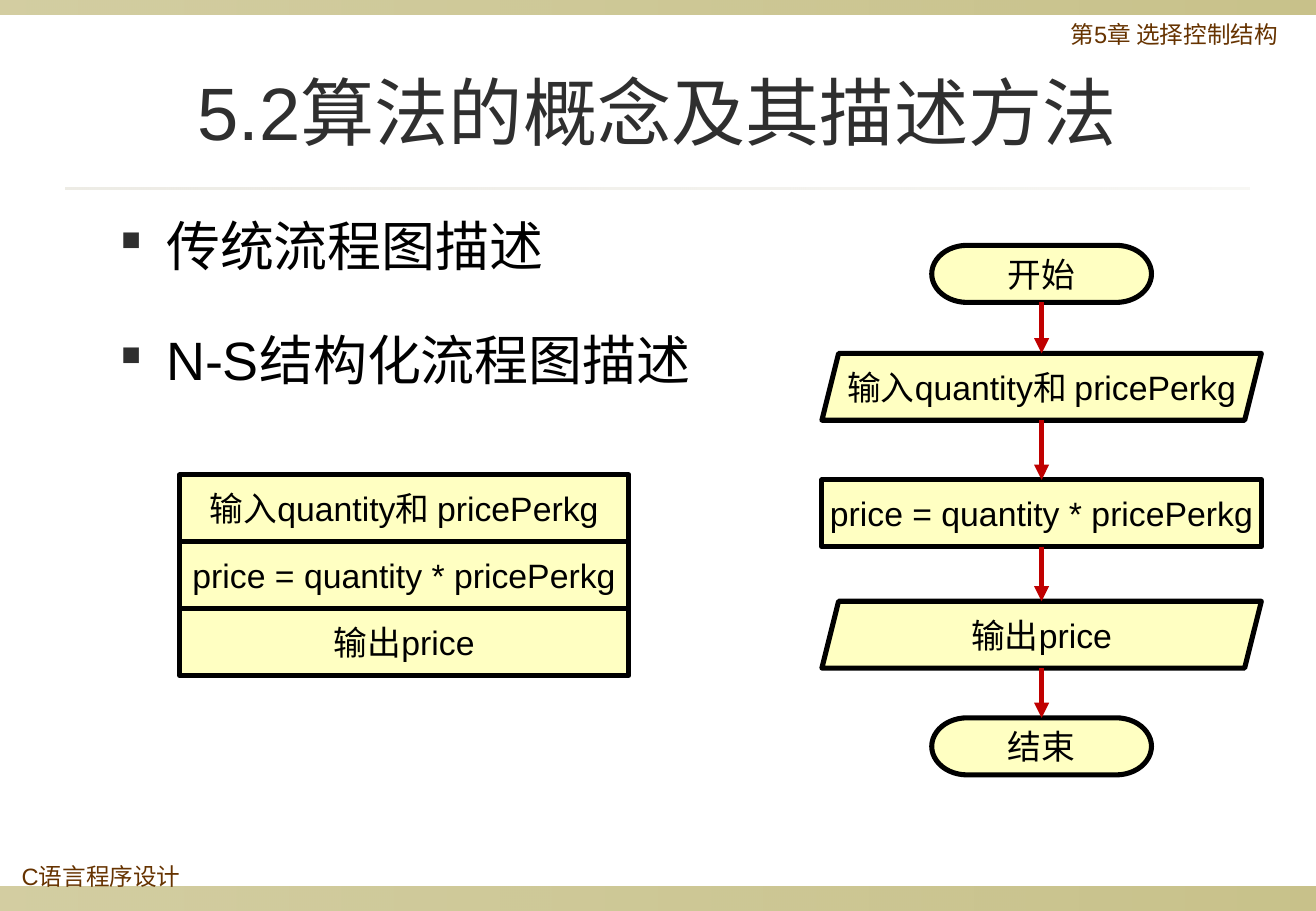
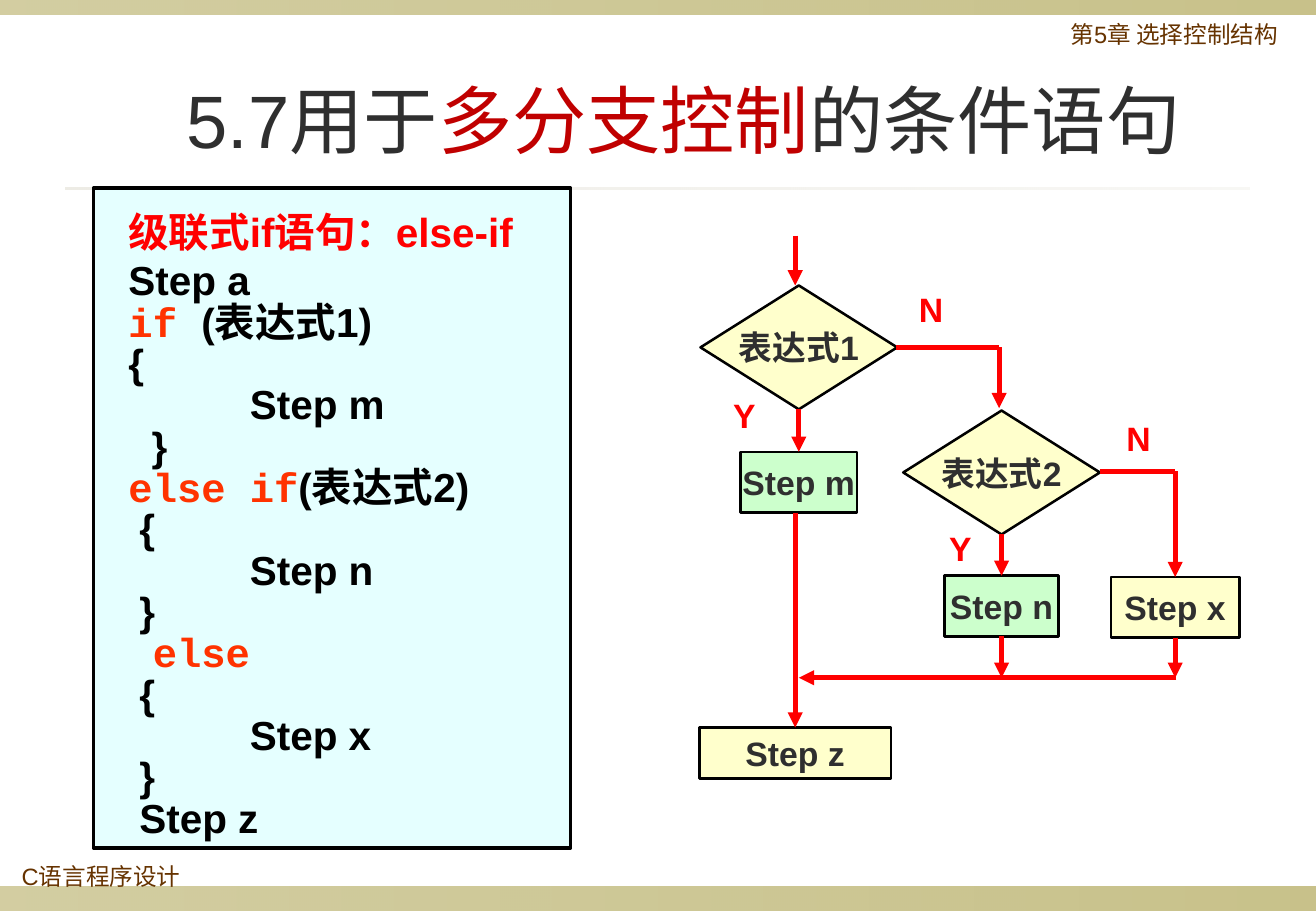
from dataclasses import dataclass

from lxml import etree
from pptx import Presentation
from pptx.dml.color import RGBColor
from pptx.enum.shapes import MSO_CONNECTOR, MSO_SHAPE
from pptx.enum.text import MSO_ANCHOR, MSO_AUTO_SIZE, PP_ALIGN
from pptx.oxml.ns import qn
from pptx.shapes.autoshape import Shape
from pptx.slide import Slide
from pptx.text.text import TextFrame
from pptx.util import Inches, Pt

RECT = MSO_SHAPE.RECTANGLE
DIAMOND = MSO_SHAPE.DIAMOND
PROCESS = MSO_SHAPE.FLOWCHART_PROCESS
TERMINATOR = MSO_SHAPE.FLOWCHART_TERMINATOR
PARALLELOGRAM = MSO_SHAPE.PARALLELOGRAM
STRAIGHT = MSO_CONNECTOR.STRAIGHT
CENTER, LEFT = PP_ALIGN.CENTER, PP_ALIGN.LEFT
MIDDLE, TOP = MSO_ANCHOR.MIDDLE, MSO_ANCHOR.TOP
NO_AUTOFIT = MSO_AUTO_SIZE.NONE
TOP_SIDE, BOTTOM_SIDE = 0, 2

BLACK = RGBColor(0x00, 0x00, 0x00)
CHARCOAL = RGBColor(0x2F, 0x2F, 0x2F)
BROWN = RGBColor(0x66, 0x33, 0x00)
OLIVE = RGBColor(0x91, 0x84, 0x15)
SAND = RGBColor(0xDC, 0xD9, 0xCC)
CREAM = RGBColor(0xFF, 0xFF, 0xC2)
PALE_YELLOW = RGBColor(0xFF, 0xFF, 0xCC)
PALE_GREEN = RGBColor(0xCC, 0xFF, 0xCC)
PALE_CYAN = RGBColor(0xE5, 0xFF, 0xFF)
DARK_RED = RGBColor(0xC0, 0x00, 0x00)
RED = RGBColor(0xFF, 0x00, 0x00)
ORANGE = RGBColor(0xFF, 0x33, 0x00)

ARIAL, COURIER = "Arial", "Courier New"
TIMES, CJK = "Times New Roman", "Noto Sans CJK SC"


@dataclass(frozen=True)
class Box:
    left: float
    top: float
    width: float
    height: float

    def lengths(self) -> tuple[Inches, Inches, Inches, Inches]:
        return (Inches(self.left), Inches(self.top),
                Inches(self.width), Inches(self.height))


@dataclass(frozen=True)
class Words:
    text: str
    font: str = ARIAL
    color: RGBColor = BLACK


@dataclass(frozen=True)
class Line:
    words: list[Words]
    size: float
    bold: bool = False
    align: PP_ALIGN = LEFT
    spacing: float | None = None  # exact line height in points
    before: float = 0
    indent: float = 0


@dataclass(frozen=True)
class Node:
    kind: MSO_SHAPE
    box: Box
    fill: RGBColor
    words: list[Words]


@dataclass(frozen=True)
class Arrow:
    start: tuple[float, float]
    end: tuple[float, float]
    source: Shape | None = None
    target: Shape | None = None
    head: bool = True


def write_lines(frame: TextFrame, lines: list[Line]) -> None:
    for index, line in enumerate(lines):
        paragraph = frame.add_paragraph() if index else frame.paragraphs[0]
        paragraph.alignment = line.align
        paragraph.space_before = Pt(line.before)
        if line.spacing:
            paragraph.line_spacing = Pt(line.spacing)
        if line.indent:
            paragraph._p.get_or_add_pPr().set("marL", str(Inches(line.indent)))
        for words in line.words:
            run = paragraph.add_run()
            run.text = words.text
            run.font.name = words.font
            run.font.size = Pt(line.size)
            run.font.bold = line.bold
            run.font.color.rgb = words.color
            east_asian = etree.Element(qn("a:ea"), typeface=CJK)
            run.font._element.find(qn("a:latin")).addnext(east_asian)


def add_text(slide: Slide, box: Box, line: Line, wrap: bool = True) -> TextFrame:
    frame = slide.shapes.add_textbox(*box.lengths()).text_frame
    frame.word_wrap = wrap
    write_lines(frame, [line])
    return frame


def add_gradient_band(slide: Slide, box: Box, color: RGBColor,
                      opacities: tuple[int, int]) -> None:
    """Draw a horizontal band whose opacity runs between two percentages."""
    band = slide.shapes.add_shape(RECT, *box.lengths())
    band.shadow.inherit = False
    band.line.fill.background()
    band.fill.gradient()
    band.fill.gradient_angle = 0
    for stop in band.fill.gradient_stops:
        stop.color.rgb = color
    for tint, opacity in zip(band.element.spPr.iter(qn("a:srgbClr")), opacities):
        etree.SubElement(tint, qn("a:alpha"), val=str(opacity * 1000))


def add_panel(slide: Slide, kind: MSO_SHAPE, box: Box, fill: RGBColor,
              border: float) -> Shape:
    panel = slide.shapes.add_shape(kind, *box.lengths())
    panel.shadow.inherit = False
    panel.fill.solid()
    panel.fill.fore_color.rgb = fill
    panel.line.color.rgb = BLACK
    panel.line.width = Pt(border)
    return panel


def add_node(slide: Slide, node: Node, border: float, bold: bool) -> Shape:
    shape = add_panel(slide, node.kind, node.box, node.fill, border)
    frame = shape.text_frame
    frame.word_wrap = False
    frame.vertical_anchor = MIDDLE
    write_lines(frame, [Line(node.words, 20, bold, CENTER)])
    return shape


def add_arrow(slide: Slide, arrow: Arrow, color: RGBColor) -> None:
    """Draw an arrow, joined to the bottom of its source and top of its target."""
    points = [Inches(value) for value in (*arrow.start, *arrow.end)]
    connector = slide.shapes.add_connector(STRAIGHT, *points)
    if arrow.source is not None:
        connector.begin_connect(arrow.source, BOTTOM_SIDE)
    if arrow.target is not None:
        connector.end_connect(arrow.target, TOP_SIDE)
    connector.line.color.rgb = color
    connector.line.width = Pt(3)
    properties = connector.element.spPr
    if arrow.head:
        etree.SubElement(properties.find(qn("a:ln")), qn("a:tailEnd"), type="triangle")
    etree.SubElement(properties, qn("a:effectLst"))


def add_bullet(slide: Slide, box: Box, words: list[Words]) -> None:
    frame = add_text(slide, box, Line(words, 32, spacing=49, indent=0.46))
    properties = frame.paragraphs[0]._p.get_or_add_pPr()
    properties.set("indent", str(Inches(-0.37)))
    color = etree.SubElement(properties, qn("a:buClr"))
    etree.SubElement(color, qn("a:srgbClr"), val=str(CHARCOAL))
    etree.SubElement(properties, qn("a:buSzPct"), val="50000")
    etree.SubElement(properties, qn("a:buChar"), char="■")


def add_chapter_slide(prs: Presentation, title_box: Box, title: list[Words]) -> Slide:
    """Add a slide with the shared bands, running texts and title style."""
    slide = prs.slides.add_slide(prs.slide_layouts[5])
    for box in (Box(0, 7.3, 10.84, 0.2), Box(0, 0, 10.84, 0.12)):
        add_gradient_band(slide, box, OLIVE, (40, 50))
    add_gradient_band(slide, Box(0.54, 1.54, 9.75, 0.02), SAND, (50, 20))
    for text, box in (("第5章 选择控制结构", Box(8.72, 0.13, 2.05, 0.39)),
                      ("C语言程序设计", Box(0.08, 7.06, 2.35, 0.39))):
        add_text(slide, box, Line([Words(text, color=BROWN)], 14, spacing=16))
    heading = slide.shapes.title
    heading.left, heading.top, heading.width, heading.height = title_box.lengths()
    heading.text_frame.auto_size = NO_AUTOFIT
    heading.text_frame.vertical_anchor = MIDDLE
    write_lines(heading.text_frame, [Line(title, 44, align=CENTER)])
    return slide


def build_algorithm_slide(prs: Presentation) -> None:
    slide = add_chapter_slide(prs, Box(0.54, 0.29, 9.75, 1.25),
                              [Words("5.2算法的概念及其描述方法", color=CHARCOAL)])
    add_bullet(slide, Box(0.81, 1.55, 9.6, 0.87), [Words("传统流程图描述", TIMES)])
    add_bullet(slide, Box(0.81, 2.49, 5.16, 0.95),
               [Words("N-S"), Words("结构化流程图描述", TIMES)])

    read_input = [Words("输入", CJK), Words("quantity"),
                  Words("和 ", CJK), Words("pricePerkg")]
    compute = [Words("price = quantity * pricePerkg")]
    show_output = [Words("输出", CJK), Words("price")]

    axis, step_height = 8.58, 0.55
    flow = [
        (TERMINATOR, 2.02, 1.81, 0.47, [Words("开始", CJK)]),
        (PARALLELOGRAM, 2.91, 3.62, step_height, read_input),
        (PROCESS, 3.95, 3.62, step_height, compute),
        (PARALLELOGRAM, 4.95, 3.62, step_height, show_output),
        (TERMINATOR, 5.91, 1.81, 0.47, [Words("结束", CJK)]),
    ]
    nodes = [Node(kind, Box(axis - width / 2, top, width, height), CREAM, words)
             for kind, top, width, height, words in flow]
    steps = [add_node(slide, node, 3, False) for node in nodes]
    joints = [None if node.kind == PARALLELOGRAM else step
              for node, step in zip(nodes, steps)]
    for index, (upper, lower) in enumerate(zip(nodes, nodes[1:])):
        add_arrow(slide, Arrow((axis, upper.box.top + upper.box.height),
                               (axis, lower.box.top),
                               joints[index], joints[index + 1]), DARK_RED)

    for row, words in enumerate((read_input, compute, show_output)):
        box = Box(1.48, 3.91 + row * step_height, 3.7, step_height)
        add_node(slide, Node(PROCESS, box, CREAM, words), 3, False)


def add_code_panel(slide: Slide) -> None:
    base, brace, body = 0.19, 0.28, 1.19

    def code(indent: float, *words: Words, before: float = 0) -> Line:
        return Line(list(words), 24, True, spacing=24.5, before=before, indent=indent)

    def condition(keyword: str, number: int) -> Line:
        return code(base, Words(keyword, COURIER, ORANGE), Words("("),
                    Words("表达式", CJK), Words(f"{number})"))

    panel = add_panel(slide, RECT, Box(0.77, 1.55, 3.93, 5.43), PALE_CYAN, 2.25)
    panel.text_frame.word_wrap = True
    panel.text_frame.vertical_anchor = TOP
    write_lines(panel.text_frame, [
        Line([Words("级联式if语句：else-if", color=RED)], 24, True,
             spacing=36.6, indent=base),
        code(base, Words("Step a"), before=4),
        condition("if ", 1),
        code(base, Words("{")),
        code(body, Words("Step m")),
        code(0.38, Words("}")),
        condition("else if", 2),
        code(brace, Words("{")),
        code(body, Words("Step n")),
        code(brace, Words("}")),
        code(0.39, Words("else", COURIER, ORANGE)),
        code(brace, Words("{")),
        code(body, Words("Step x")),
        code(brace, Words("}")),
        code(brace, Words("Step z")),
    ])


def build_branch_slide(prs: Presentation) -> None:
    slide = add_chapter_slide(prs, Box(0.47, 0.52, 10.32, 0.92), [
        Words("5.7用于", color=CHARCOAL), Words("多分支控制", color=DARK_RED),
        Words("的条件语句", color=CHARCOAL)])
    add_code_panel(slide)

    for number, left, top in ((1, 5.77, 2.35), (2, 7.44, 3.38)):
        test = [Words("表达式", CJK, CHARCOAL), Words(str(number), color=CHARCOAL)]
        add_node(slide, Node(DIAMOND, Box(left, top, 1.62, 1.02), PALE_YELLOW, test),
                 1.5, True)
    step_m, step_n, step_x, step_z = [
        add_node(slide, Node(RECT, box, fill, [Words(text, color=CHARCOAL)]), 1.5, True)
        for text, box, fill in (
            ("Step m", Box(6.1, 3.72, 0.96, 0.5), PALE_GREEN),
            ("Step n", Box(7.78, 4.74, 0.94, 0.5), PALE_GREEN),
            ("Step x", Box(9.15, 4.75, 1.06, 0.5), PALE_YELLOW),
            ("Step z", Box(5.76, 5.99, 1.58, 0.42), PALE_YELLOW))]

    merge = 5.58
    for arrow in (
        Arrow((6.55, 1.94), (6.55, 2.35)),
        Arrow((6.58, 3.37), (6.58, 3.72), target=step_m),
        Arrow((6.55, 4.22), (6.55, 5.99), target=step_z),
        Arrow((7.38, 2.86), (8.23, 2.86), head=False),
        Arrow((8.23, 2.86), (8.23, 3.36)),
        Arrow((8.25, 4.4), (8.25, 4.74), target=step_n),
        Arrow((9.06, 3.88), (9.68, 3.88), head=False),
        Arrow((9.68, 3.88), (9.68, 4.75), target=step_x),
        Arrow((8.25, 5.24), (8.25, merge), source=step_n),
        Arrow((9.68, 5.25), (9.68, merge), source=step_x),
        Arrow((9.69, merge), (6.58, merge)),
    ):
        add_arrow(slide, arrow, RED)
    for answer, left, top in (("N", 7.47, 2.33), ("Y", 5.94, 3.2),
                              ("N", 9.18, 3.39), ("Y", 7.72, 4.3)):
        add_text(slide, Box(left, top, 0.4, 0.44),
                 Line([Words(answer, color=RED)], 20, True), wrap=False)


def main() -> None:
    prs = Presentation()
    prs.slide_width, prs.slide_height = Inches(10.84), Inches(7.5)
    build_algorithm_slide(prs)
    build_branch_slide(prs)
    prs.save("out.pptx")


if __name__ == "__main__":
    main()
